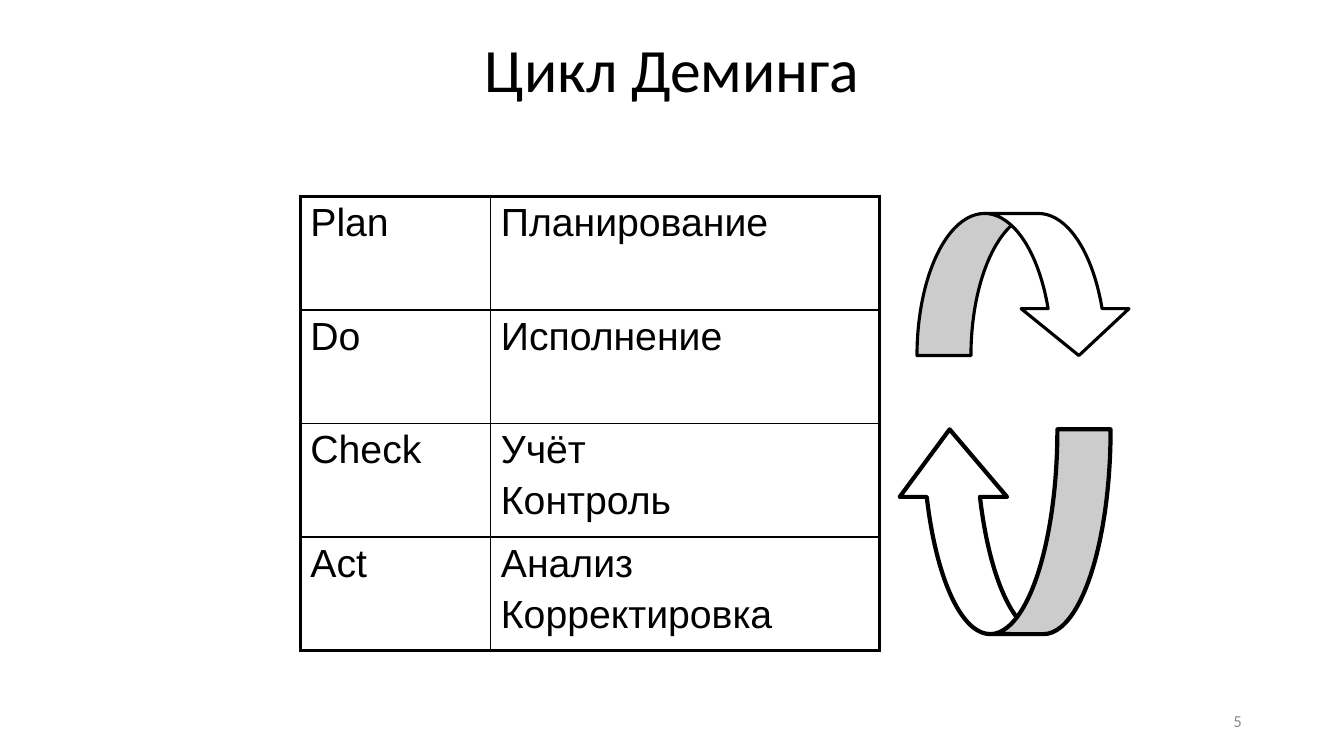
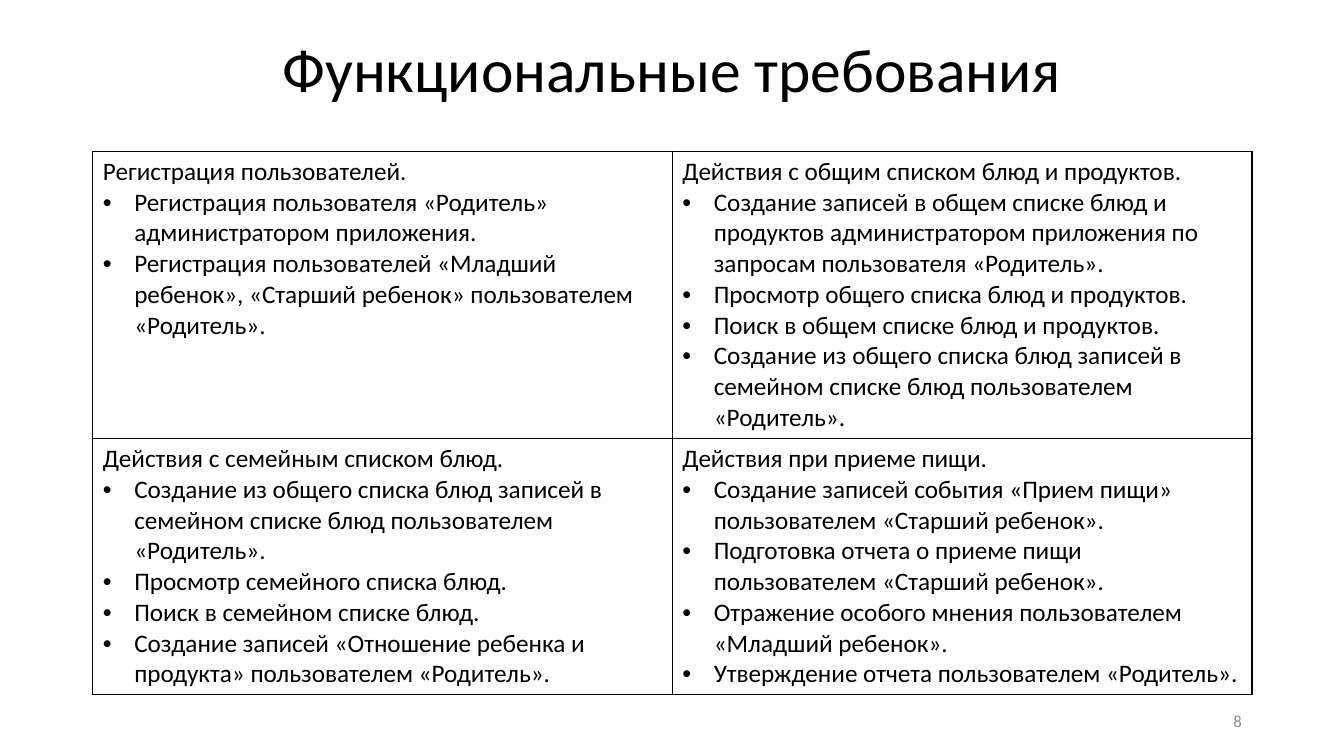
"""Build two slides: the Deming cycle and the functional requirements."""
from pptx import Presentation
from pptx import util as u
from pptx.dml.color import RGBColor
from pptx.enum import shapes, text
from pptx.oxml.ns import qn
from lxml import etree

COLORS = {"ink": "000000", "paper": "FFFFFF", "muted": "8C8C8C"}
TITLE = {"name": "Calibri", "size": u.Pt(44)}
NUMBER = {"name": "Calibri", "size": u.Pt(12)}
CYCLE = {"name": "Arial", "size": u.Pt(28)}
BODY = {"name": "Calibri", "size": u.Pt(18)}
MARGIN, CONTENT_W = 2.34, 29.21

STEPS = [
    [["Plan"], ["Планирование"]],
    [["Do"], ["Исполнение"]],
    [["Check"], ["Учёт", "Контроль"]],
    [["Act"], ["Анализ", "Корректировка"]],
]
FAMILY_COPY = ("Создание из общего списка блюд записей в семейном списке блюд "
               "пользователем «Родитель».")
REQUIREMENTS = [
    [["Регистрация пользователей.",
      "Регистрация пользователя «Родитель» администратором приложения.",
      "Регистрация пользователей «Младший ребенок», «Старший ребенок» "
      "пользователем «Родитель»."],
     ["Действия с общим списком блюд и продуктов.",
      "Создание записей в общем списке блюд и продуктов администратором "
      "приложения по запросам пользователя «Родитель».",
      "Просмотр общего списка блюд и продуктов.",
      "Поиск в общем списке блюд и продуктов.",
      FAMILY_COPY]],
    [["Действия с семейным списком блюд.",
      FAMILY_COPY,
      "Просмотр семейного списка блюд.",
      "Поиск в семейном списке блюд.",
      "Создание записей «Отношение ребенка и продукта» пользователем «Родитель»."],
     ["Действия при приеме пищи.",
      "Создание записей события «Прием пищи» пользователем «Старший ребенок».",
      "Подготовка отчета о приеме пищи пользователем «Старший ребенок».",
      "Отражение особого мнения пользователем «Младший ребенок».",
      "Утверждение отчета пользователем «Родитель»."]],
]


def rgb(key):
    return RGBColor.from_string(COLORS[key])


def set_attrs(obj, values):
    for name, value in values.items():
        setattr(obj, name, value)


def add_run(p, content, font, color="ink"):
    r = p.add_run()
    r.text = content
    set_attrs(r.font, font)
    r.font.color.rgb = rgb(color)


def add_label(s, box, content, font, para, color="ink"):
    tf = s.shapes.add_textbox(*map(u.Cm, box)).text_frame
    set_attrs(tf, {"word_wrap": True, "vertical_anchor": text.MSO_ANCHOR.MIDDLE})
    p = tf.paragraphs[0]
    set_attrs(p, para)
    add_run(p, content, font, color)


def add_slide(prs, title, number):
    s = prs.slides.add_slide(prs.slide_layouts[6])
    add_label(s, (MARGIN, 0, CONTENT_W, 3.68), title, TITLE,
              {"alignment": text.PP_ALIGN.CENTER, "line_spacing": 0.9})
    add_label(s, (23.93, 17.65, 7.62, 1.02), number, NUMBER,
              {"alignment": text.PP_ALIGN.RIGHT}, "muted")
    return s


def add_bullet(p):
    pPr = p._p.get_or_add_pPr()
    indent = u.Cm(0.79)
    pPr.set("marL", str(indent))
    pPr.set("indent", str(-indent))
    etree.SubElement(pPr, qn("a:buFont")).set("typeface", "Arial")
    etree.SubElement(pPr, qn("a:buChar")).set("char", "•")


def set_borders(cell, widths):
    tcPr = cell._tc.get_or_add_tcPr()
    for i, (side, width) in enumerate(zip("LRTB", widths)):
        ln = etree.Element(qn(f"a:ln{side}"), w=str(u.Pt(width)))
        fill = etree.SubElement(ln, qn("a:solidFill"))
        etree.SubElement(fill, qn("a:srgbClr")).set("val", COLORS["ink"])
        tcPr.insert(i, ln)


def add_grid(s, left, top, cols, rows, data, font, outer=1, gap=0, bullets=False):
    box = map(u.Cm, (left, top, sum(cols), sum(rows)))
    table = s.shapes.add_table(len(rows), len(cols), *box).table
    set_attrs(table, {"first_row": False, "horz_banding": False})
    for col, width in zip(table.columns, cols):
        col.width = u.Cm(width)
    for i, height in enumerate(rows):
        table.rows[i].height = u.Cm(height)
        for j, lines in enumerate(data[i]):
            cell = table.cell(i, j)
            cell.fill.background()
            edges = (j == 0, j == len(cols) - 1, i == 0, i == len(rows) - 1)
            set_borders(cell, [outer if edge else 1 for edge in edges])
            tf = cell.text_frame
            for k, line in enumerate(lines):
                p = tf.add_paragraph() if k else tf.paragraphs[0]
                if k and gap:
                    p.space_before = u.Pt(gap)
                if k and bullets:
                    add_bullet(p)
                add_run(p, line, font)


def add_arrow(s, kind, box, adjustments, width, flip=False):
    sp = s.shapes.add_shape(kind, *map(u.Cm, box))
    sp.shadow.inherit = False
    for i, value in enumerate(adjustments):
        sp.adjustments[i] = value
    sp.fill.solid()
    sp.fill.fore_color.rgb = rgb("paper")
    sp.line.color.rgb = rgb("ink")
    sp.line.width = u.Pt(width)
    if flip:
        sp._element.spPr.find(qn("a:xfrm")).set("flipH", "1")


def build_cycle(prs):
    s = add_slide(prs, "Цикл Деминга", "5")
    kinds = shapes.MSO_SHAPE
    add_arrow(s, kinds.CURVED_DOWN_ARROW, (23.11, 5.38, 5.44, 3.58),
              (0.38, 0.76, 0.33), 2.25)
    add_arrow(s, kinds.CURVED_UP_ARROW, (22.58, 10.82, 5.41, 5.16),
              (0.26, 0.53, 0.33), 3, flip=True)
    add_grid(s, 7.57, 4.95, [4.8, 9.8], [2.86] * 4, STEPS, CYCLE, outer=2.25, gap=5)


def build_requirements(prs):
    s = add_slide(prs, "Функциональные требования", "8")
    add_grid(s, MARGIN, 3.81, [CONTENT_W / 2] * 2, [7.24, 6.46], REQUIREMENTS, BODY,
             bullets=True)


def main():
    prs = Presentation()
    set_attrs(prs, {"slide_width": u.Cm(33.87), "slide_height": u.Cm(19.05)})
    build_cycle(prs)
    build_requirements(prs)
    prs.save("out.pptx")


if __name__ == "__main__":
    main()
